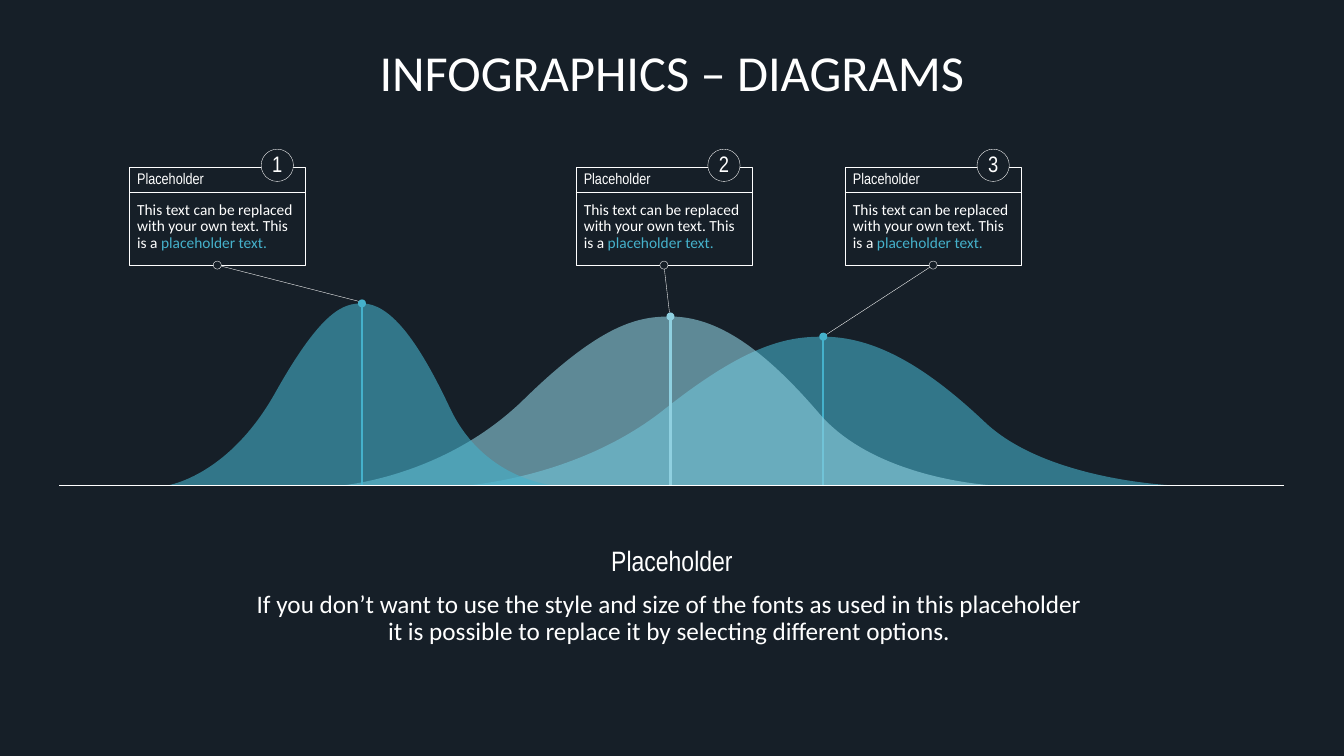
from dataclasses import dataclass

from lxml.etree import SubElement
from pptx import Presentation
from pptx.dml.color import RGBColor
from pptx.enum.shapes import MSO_CONNECTOR, MSO_SHAPE
from pptx.enum.text import MSO_ANCHOR, MSO_AUTO_SIZE, PP_ALIGN
from pptx.oxml.ns import qn
from pptx.util import Inches, Pt


@dataclass(frozen=True)
class Theme:
    bg: str = "161F28"
    white: str = "FFFFFF"
    teal: str = "45B1CB"
    pale: str = "8FD0E0"
    head: str = "Arial Narrow"
    body: str = "Calibri"
    title_size: int = 36
    subtitle_size: int = 20
    text_size: int = 18
    number_size: int = 16
    card_size: int = 11


T = Theme()
DOT = 0.08

# Bell outline in percent of its box: start, then Bezier segments
BELL_START = (0, 100)
BELL = [
    [(0, 100), (15.5, 96), (27.7, 50)],
    [(39.8, 3.2), (45.4, 0), (50, 0)],
    [(57, 0), (64, 19), (72.3, 57)],
    [(80.5, 95), (97.3, 100), (100, 100)],
]

# Number, card left, curve (left, top, width), colour, leader offset from peak
CURVES = [
    ("1", 1.28, (1.64, 3.01, 3.9), T.teal, (-0.03, -0.02)),
    ("2", 5.71, (3.35, 3.14, 6.6), T.pale, (-0.01, -0.04)),
    ("3", 8.38, (4.58, 3.34, 7.17), T.teal, (0.03, -0.02)),
]


def rgb(value):
    return RGBColor.from_string(value)


def add_text(p, text, size=T.card_size, font=T.body, color=T.white,
             align=PP_ALIGN.LEFT, after=10):
    p.alignment, p.line_spacing, p.space_after = align, 0.9, Pt(after)
    p.space_before = Pt(0)
    for i, line in enumerate(text.split("\n")):
        if i:
            p.add_line_break()
        r = p.add_run()
        r.text = line
        r.font.size, r.font.name = Pt(size), font
        r.font.color.rgb = rgb(color)


def set_frame(tf, insets, anchor=MSO_ANCHOR.TOP):
    tf.word_wrap, tf.auto_size = True, MSO_AUTO_SIZE.NONE
    tf.vertical_anchor = anchor
    tf.margin_left, tf.margin_top, tf.margin_right, tf.margin_bottom = map(Inches, insets)


def style(sp, fill=None, line=None):
    sp.shadow.inherit = False
    if fill:
        sp.fill.solid()
        sp.fill.fore_color.rgb = rgb(fill)
    else:
        sp.fill.background()
    if line:
        sp.line.color.rgb, sp.line.width = rgb(line), Pt(0.25)
    else:
        sp.line.fill.background()


def add_box(shapes, kind, x, y, w, h, fill=None, line=None):
    sp = shapes.add_shape(kind, Inches(x), Inches(y), Inches(w), Inches(h))
    style(sp, fill, line)
    return sp


def add_dot(shapes, x, y, d=DOT, fill=T.bg, line=None):
    return add_box(shapes, MSO_SHAPE.OVAL, x - d / 2, y - d / 2, d, d, fill, line)


def add_line(shapes, x1, y1, x2, y2, color=T.white, width=0.25):
    line = shapes.add_connector(MSO_CONNECTOR.STRAIGHT, Inches(x1), Inches(y1),
                                Inches(x2), Inches(y2))
    line.line.color.rgb, line.line.width = rgb(color), Pt(width)
    SubElement(line._element.spPr, qn("a:effectLst"))
    return line


def add_callout(s, x, y, w, h, number, target):
    shapes = s.shapes.add_group_shape().shapes
    # Card with heading and text
    card = add_box(shapes, MSO_SHAPE.RECTANGLE, x, y, w, h, line=T.white)
    tf = card.text_frame
    set_frame(tf, (0.08, 0.04, 0.08, 0.08))
    add_text(tf.paragraphs[0], "Placeholder", font=T.head)
    p = tf.add_paragraph()
    add_text(p, "This text can be replaced with your own text. This is a ")
    add_text(p, "placeholder text.", color=T.teal)
    add_line(shapes, x, y + 0.25, x + w, y + 0.25)
    # Leader to the peak
    leader = add_line(shapes, x + w / 2, y + h, *target)
    leader.begin_connect(card, 2)
    add_dot(shapes, x + w / 2, y + h, line=T.white)
    # Number badge
    badge = add_dot(shapes, x + w - 0.28, y - 0.02, 0.32, line=T.white)
    set_frame(badge.text_frame, (0, 0, 0, 0), MSO_ANCHOR.MIDDLE)
    add_text(badge.text_frame.paragraphs[0], number, T.number_size, T.head,
             align=PP_ALIGN.CENTER)


def add_bell(s, x, y, w, h, color):
    shapes = s.shapes.add_group_shape().shapes
    # Outline through the segment ends
    builder = shapes.build_freeform(*BELL_START, scale=(Inches(w) / 100, Inches(h) / 100))
    builder.add_line_segments([segment[-1] for segment in BELL], close=True)
    bell = builder.convert_to_shape(Inches(x), Inches(y))
    style(bell, color)
    spPr = bell._element.spPr
    # Bend each side into a Bezier curve, in tenths of a percent
    outline = next(spPr.iter(qn("a:path")))
    outline.set("w", "1000")
    outline.set("h", "1000")
    for child in list(outline):
        outline.remove(child)
    commands = [("a:moveTo", [BELL_START])]
    commands += [("a:cubicBezTo", segment) for segment in BELL]
    commands += [("a:lnTo", [BELL_START]), ("a:close", [])]
    for tag, points in commands:
        command = SubElement(outline, qn(tag))
        for px, py in points:
            pt = SubElement(command, qn("a:pt"))
            pt.set("x", str(round(px * 10)))
            pt.set("y", str(round(py * 10)))
    # Transparency
    clr = spPr.find(qn("a:solidFill")).find(qn("a:srgbClr"))
    SubElement(clr, qn("a:alpha")).set("val", "60000")
    # Stem and peak
    add_line(shapes, x + w / 2, y, x + w / 2, y + h, color, 1.5)
    add_dot(shapes, x + w / 2, y, fill=color)


def place(sp, x, y, w, h):
    sp.left, sp.top, sp.width, sp.height = map(Inches, (x, y, w, h))


def add_title(s, x, y, w, h):
    title = s.shapes.title
    place(title, x, y, w, h)
    set_frame(title.text_frame, (0, 0, 0, 0))
    add_text(title.text_frame.paragraphs[0], "INFOGRAPHICS – DIAGRAMS", T.title_size,
             align=PP_ALIGN.CENTER, after=0)


def add_summary(s, x, y, w, h):
    body = s.placeholders[1]
    place(body, x, y, w, h)
    tf = body.text_frame
    set_frame(tf, (0.1, 0.05, 0.1, 0.05))
    rows = [
        ("Placeholder", T.subtitle_size, T.head),
        ("If you don’t want to use the style and size of the fonts as used in this placeholder \n"
         "it is possible to replace it by selecting different options. ", T.text_size, T.body),
    ]
    for i, (text, size, font) in enumerate(rows):
        p = tf.add_paragraph() if i else tf.paragraphs[0]
        pPr = p._p.get_or_add_pPr()
        pPr.set("marL", "0")
        pPr.set("indent", "0")
        SubElement(pPr, qn("a:buNone"))
        add_text(p, text, size, font, align=PP_ALIGN.CENTER)


def add_diagram(s, x, y, w, h):
    base = y + h
    for number, left, (cx, cy, cw), color, (dx, dy) in CURVES:
        add_callout(s, left, y + 0.18, 1.75, 0.97, number, (cx + cw / 2 + dx, cy + dy))
    for number, left, (cx, cy, cw), color, offset in reversed(CURVES):
        add_bell(s, cx, cy, cw, base - cy, color)
    # Baseline
    add_line(s.shapes, x, base, x + w, base, width=0.5)


def main():
    prs = Presentation()
    prs.slide_width, prs.slide_height = Inches(13.33), Inches(7.5)
    s = prs.slides.add_slide(prs.slide_layouts[1])
    s.background.fill.solid()
    s.background.fill.fore_color.rgb = rgb(T.bg)
    add_title(s, 0.59, 0.48, 12.15, 1.18)
    add_diagram(s, 0.59, 1.48, 12.15, 3.34)
    add_summary(s, 0.59, 5.38, 12.15, 0.97)
    prs.save("out.pptx")


if __name__ == "__main__":
    main()
